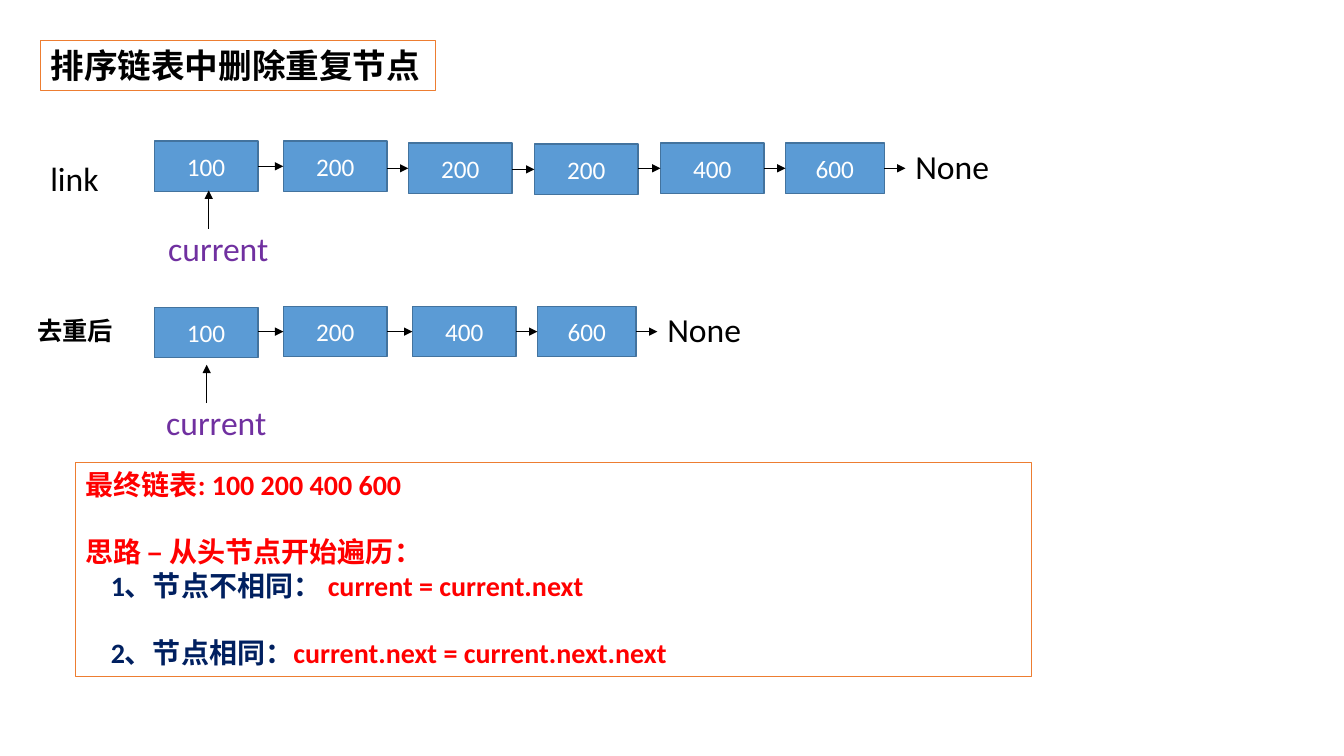
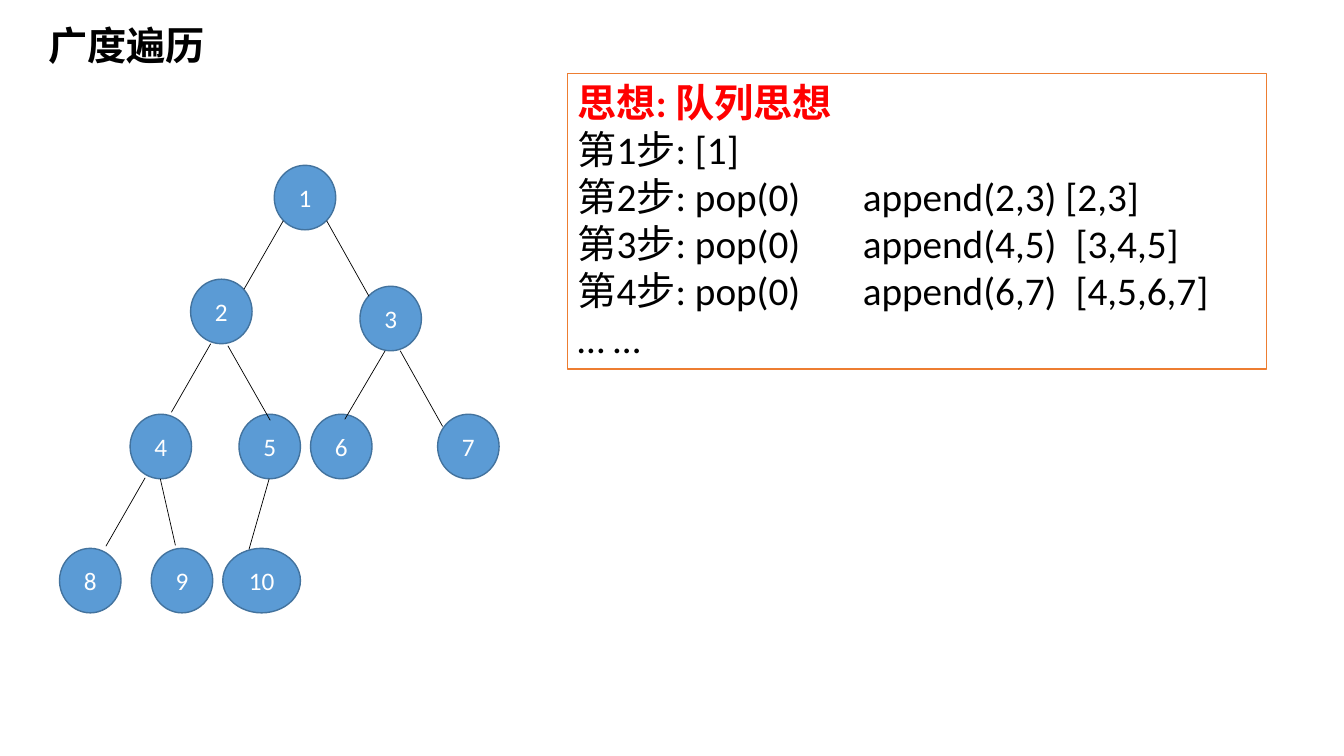
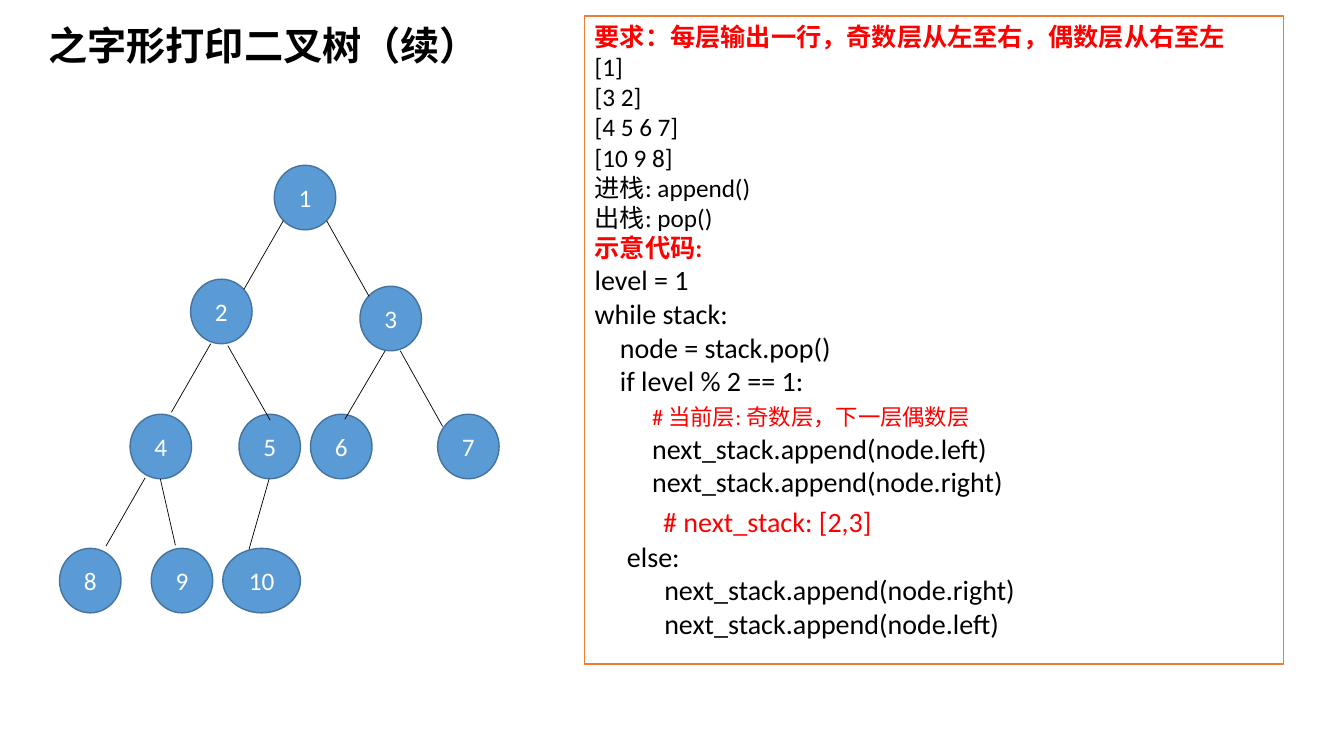
from lxml.etree import SubElement
from pptx import Presentation
from pptx.dml.color import RGBColor
from pptx.enum.shapes import MSO_CONNECTOR, MSO_SHAPE
from pptx.enum.text import MSO_ANCHOR, MSO_AUTO_SIZE, PP_ALIGN
from pptx.oxml.ns import qn
from pptx.util import Emu, Pt

FONT = "Calibri"
BLACK, WHITE, RED, NAVY, PURPLE = "000000", "FFFFFF", "FF0000", "002060", "7030A0"
NODE_FILL, NODE_LINE, FRAME_LINE = "5B9BD5", "43739E", "ED7D31"
NODE_HEIGHT = 50

TREE_NODES = [
    ("1", 272, 164, 61), ("2", 189, 277, 61), ("3", 357, 284, 61),
    ("4", 129, 411, 61), ("5", 237, 411, 61), ("6", 308, 411, 61),
    ("7", 434, 411, 61), ("8", 59, 544, 61), ("9", 150, 544, 61),
    ("10", 221, 544, 77),
]
TREE_EDGES = [
    ((281, 219), (242, 287)), ((324, 219), (366, 294)),
    ((209, 341), (170, 409)), ((226, 343), (268, 417)),
    ((382, 348), (342, 416)), ((397, 348), (439, 423)),
    ((144, 474), (105, 542)), ((159, 475), (174, 541)),
    ((267, 475), (247, 545)),
]


def px(length):
    """Turn whole pixels, 100 to the inch, into EMU."""
    return Emu(length * 9144)


def color(value):
    """Turn a hex string into a colour."""
    return RGBColor.from_string(value)


def set_font(font, size, ink=BLACK, bold=False):
    """Give a font its face, size, colour and weight."""
    font.name, font.size, font.bold = FONT, Pt(size), bold
    font.color.rgb = color(ink)


def outline(shape, fill, line):
    """Give a shape a plain fill and a thin outline."""
    shape.shadow.inherit = False
    shape.fill.solid()
    shape.fill.fore_color.rgb = color(fill)
    shape.line.color.rgb = color(line)
    shape.line.width = Pt(1)


def add_para(frame, text, size, ink=BLACK, bold=False, indent=0, before=0, after=0,
             tabs=(), tail=""):
    """Fill the next paragraph of a frame; a tail follows in red."""
    first = frame.paragraphs[0]
    para = first if not first.runs else frame.add_paragraph()
    para.alignment = PP_ALIGN.LEFT
    set_font(para.font, size, ink, bold)
    para.space_before, para.space_after = Pt(before), Pt(after)
    para.add_run().text = text
    if tail:
        span = para.add_run()
        span.text = tail
        span.font.color.rgb = color(RED)
    properties = para._p.get_or_add_pPr()
    if indent:
        properties.set("marL", str(px(indent)))
        properties.set("indent", "0")
    if tabs:
        stops = properties.makeelement(qn("a:tabLst"))
        properties.find(qn("a:defRPr")).addprevious(stops)
        for stop in tabs:
            SubElement(stops, qn("a:tab"), pos=str(px(stop)), algn="l")
    return para


def add_page(deck, title, left, top, width, height, size):
    """Add a slide with its title placed and styled."""
    page = deck.slides.add_slide(deck.slide_layouts[5])
    box = page.shapes.title
    box.left, box.top, box.width, box.height = map(px, (left, top, width, height))
    frame = box.text_frame
    frame.word_wrap, frame.auto_size = False, MSO_AUTO_SIZE.NONE
    frame.vertical_anchor = MSO_ANCHOR.TOP
    add_para(frame, title, size, bold=True)
    return page


def add_label(page, text, left, top, width, height=50, size=24, ink=BLACK, bold=False):
    """Add a one-line text box."""
    box = page.shapes.add_textbox(*map(px, (left, top, width, height)))
    box.text_frame.word_wrap = False
    add_para(box.text_frame, text, size, ink, bold)


def add_panel(page, left, top, width, height):
    """Add an orange-framed panel and return its text frame."""
    box = page.shapes.add_shape(MSO_SHAPE.RECTANGLE, *map(px, (left, top, width, height)))
    outline(box, WHITE, FRAME_LINE)
    frame = box.text_frame
    frame.word_wrap, frame.vertical_anchor = True, MSO_ANCHOR.TOP
    return frame


def add_node(page, kind, text, left, top, width, height):
    """Add a blue node with a centred value."""
    node = page.shapes.add_shape(kind, *map(px, (left, top, width, height)))
    outline(node, NODE_FILL, NODE_LINE)
    node.text_frame.vertical_anchor = MSO_ANCHOR.MIDDLE
    add_para(node.text_frame, text, 18, WHITE).alignment = PP_ALIGN.CENTER


def add_line(page, start, end, arrow=False):
    """Add a thin black line, with an arrowhead at its end if asked."""
    line = page.shapes.add_connector(MSO_CONNECTOR.STRAIGHT, *map(px, start + end))
    line.line.color.rgb = color(BLACK)
    line.line.width = Pt(0.5)
    if arrow:
        SubElement(line.line._get_or_add_ln(), qn("a:tailEnd"), type="triangle")
    SubElement(line._element.spPr, qn("a:effectLst"))


def add_linked_list(page, nodes):
    """Add a row of nodes joined by arrows and closed by None."""
    previous_right = None
    for text, left, top, width in nodes:
        add_node(page, MSO_SHAPE.RECTANGLE, text, left, top, width, NODE_HEIGHT)
        middle = top + NODE_HEIGHT // 2
        if previous_right:
            add_line(page, (previous_right, middle), (left, middle), arrow=True)
        previous_right = left + width
    none_left = previous_right + 21
    add_line(page, (previous_right, middle), (none_left, middle), arrow=True)
    add_label(page, "None", none_left, top - 2, 94)


def add_current(page, left, top):
    """Add the current label with an arrow pointing up."""
    add_label(page, "current", left, top, 121, ink=PURPLE)
    add_line(page, (left + 50, top + 6), (left + 50, top - 32), arrow=True)


def add_tree(page):
    """Add the binary tree."""
    for text, left, top, width in TREE_NODES:
        add_node(page, MSO_SHAPE.OVAL, text, left, top, width, 64)
    for start, end in TREE_EDGES:
        add_line(page, start, end)


def build_duplicates(deck):
    """Build the slide on removing duplicate nodes."""
    page = add_page(deck, "排序链表中删除重复节点", 40, 40, 392, 50, 24)
    outline(page.shapes.title, WHITE, FRAME_LINE)
    add_label(page, "link", 40, 152, 69)
    add_linked_list(page, [
        ("100", 153, 140, 103), ("200", 281, 140, 103), ("200", 405, 142, 103),
        ("200", 530, 143, 103), ("400", 655, 142, 103), ("600", 779, 142, 98)])
    add_current(page, 157, 221)
    add_label(page, "去重后", 27, 308, 96, 40, size=18, bold=True)
    add_linked_list(page, [
        ("100", 153, 305, 103), ("200", 281, 304, 103),
        ("400", 409, 304, 103), ("600", 533, 304, 98)])
    add_current(page, 155, 394)
    frame = add_panel(page, 75, 459, 948, 212)
    add_para(frame, "最终链表: 100 200 400 600", 20, RED, True)
    add_para(frame, "思路 – 从头节点开始遍历：", 20, RED, True, before=24)
    add_para(frame, "1、节点不相同： ", 20, NAVY, True, indent=25,
             tail="current = current.next")
    add_para(frame, "2、节点相同：", 20, NAVY, True, indent=25, before=24,
             tail="current.next = current.next.next")


def build_breadth_first(deck):
    """Build the slide on breadth-first traversal."""
    page = add_page(deck, "广度遍历", 38, 16, 178, 57, 28)
    add_tree(page)
    frame = add_panel(page, 563, 73, 693, 293)
    add_para(frame, "思想: 队列思想", 28, RED, True)
    for text in ("第1步: [1]",
                 "第2步: pop(0)\tappend(2,3) [2,3]",
                 "第3步: pop(0)\tappend(4,5)\t[3,4,5]",
                 "第4步: pop(0)\tappend(6,7)\t[4,5,6,7]",
                 "… …"):
        add_para(frame, text, 28, tabs=(283, 494))


def build_zigzag(deck):
    """Build the slide on zigzag printing."""
    page = add_page(deck, "之字形打印二叉树（续）", 38, 16, 454, 57, 28)
    add_tree(page)
    frame = add_panel(page, 580, 16, 693, 643)
    add_para(frame, "要求：每层输出一行，奇数层从左至右，偶数层从右至左", 18, RED, True)
    for text in ("[1]", "[3 2]", "[4 5 6 7]", "[10 9 8]", "进栈: append()", "出栈: pop()"):
        add_para(frame, text, 18)
    add_para(frame, "示意代码:", 18, RED, True)
    for text, indent in (("level = 1", 0), ("while stack:", 0),
                         ("node = stack.pop()", 25), ("if level % 2 == 1:", 25)):
        add_para(frame, text, 20, indent=indent)
    add_para(frame, "# 当前层: 奇数层，下一层偶数层", 16, RED, indent=57, before=4, after=1)
    for side in ("left", "right"):
        add_para(frame, f"next_stack.append(node.{side})", 20, indent=57)
    add_para(frame, "# next_stack: [2,3]", 20, RED, indent=68, before=4, after=1)
    add_para(frame, "else:", 20, indent=32)
    for side in ("right", "left"):
        add_para(frame, f"next_stack.append(node.{side})", 20, indent=69)


def main():
    """Build and save the deck."""
    deck = Presentation()
    deck.slide_width, deck.slide_height = px(1333), px(750)
    build_duplicates(deck)
    build_breadth_first(deck)
    build_zigzag(deck)
    deck.save("out.pptx")


if __name__ == "__main__":
    main()
